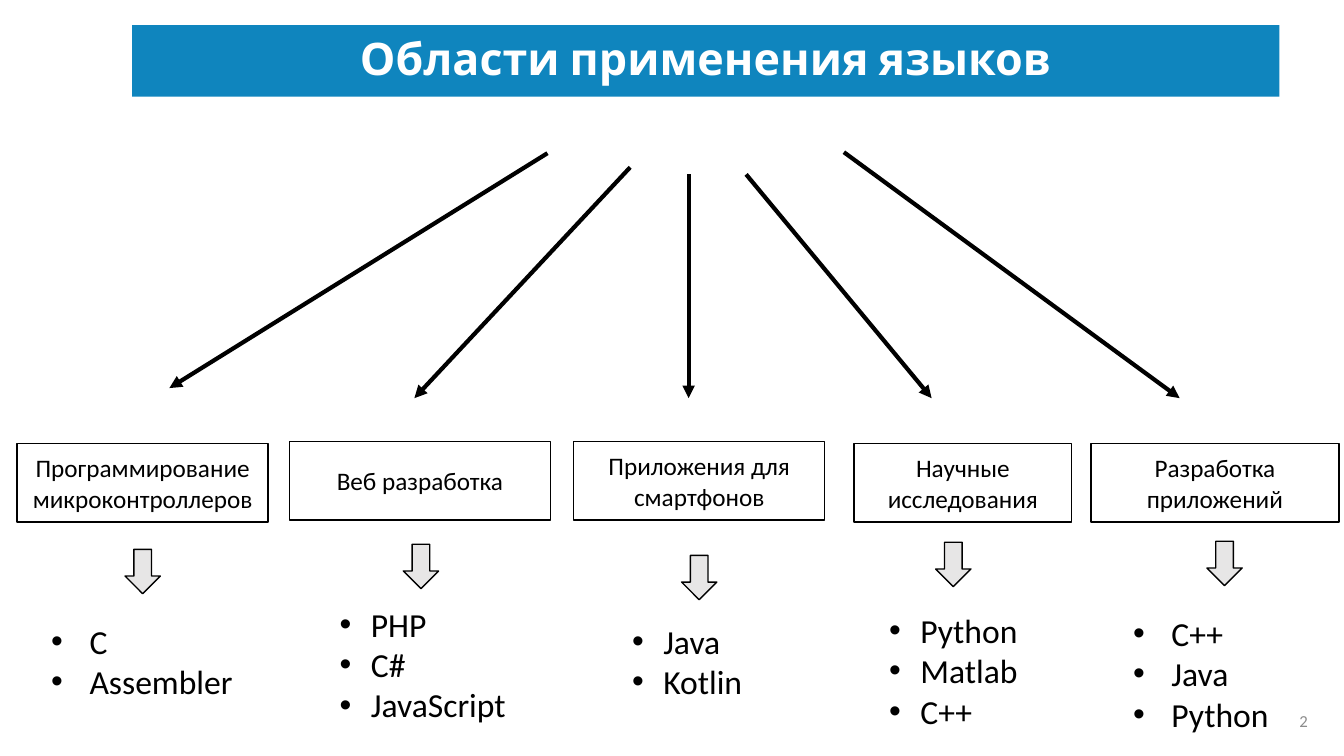
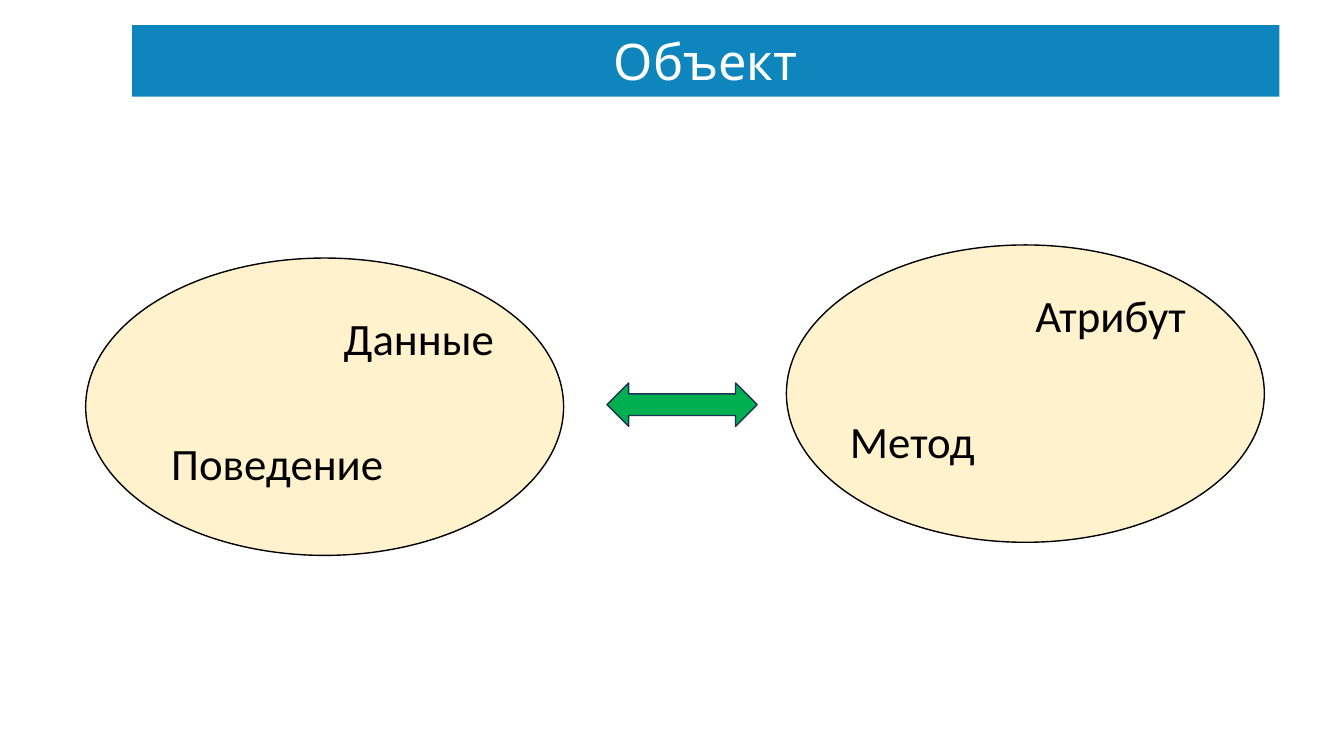
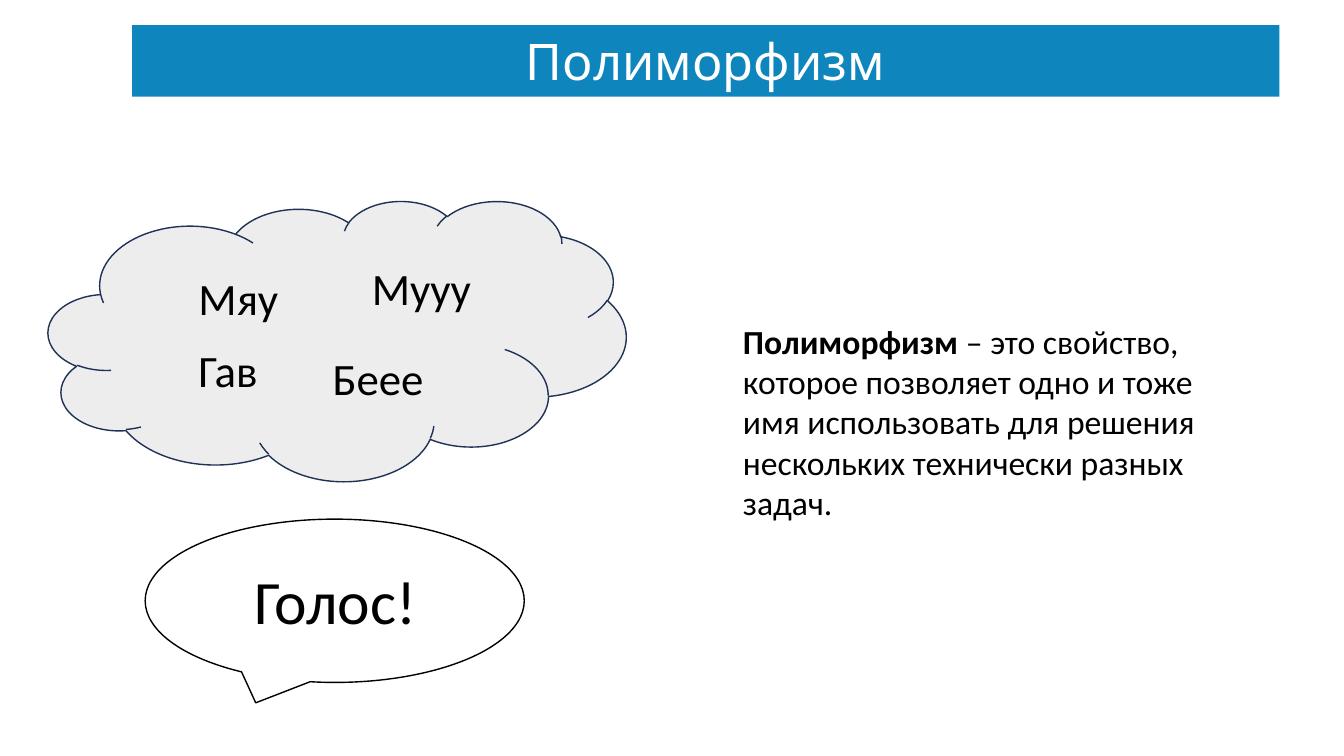
from lxml.etree import SubElement
from pptx import Presentation
from pptx.dml.color import RGBColor
from pptx.enum.shapes import MSO_CONNECTOR, MSO_SHAPE
from pptx.enum.text import MSO_ANCHOR, MSO_AUTO_SIZE, PP_ALIGN
from pptx.oxml.ns import qn
from pptx.util import Pt

EMU_PER_PX = 9144  # 100 px to the inch
SLIDE_W, SLIDE_H = 1333, 750
TITLE_BOX = (131, 25, 1138, 71)

BLUE = RGBColor(0x0F, 0x85, 0xBE)
WHITE = RGBColor(0xFF, 0xFF, 0xFF)
BLACK = RGBColor(0, 0, 0)
GREY = RGBColor(0x8C, 0x8C, 0x8C)
LIGHT_GREY = RGBColor(0xE7, 0xE6, 0xE6)
CLOUD_GREY = RGBColor(0xED, 0xED, 0xED)
CREAM = RGBColor(0xFF, 0xF2, 0xCC)
GREEN = RGBColor(0x00, 0xB0, 0x50)
NAVY = RGBColor(0x1E, 0x32, 0x56)

TITLE_FONT = "Cabin"
BODY_FONT = "Calibri"

# box text, box, arrow start, arrow end, down arrow corner, languages, list box, indent
AREAS = [
    (["Программирование", "микроконтроллеров"], (17, 440, 249, 78),
     (543, 152), (168, 385), (124, 545),
     ["С", "Assembler"], (41, 611, 201, 91), 38),
    (["Веб разработка"], (287, 438, 259, 78),
     (625, 166), (411, 395), (400, 540),
     ["PHP", "C#", "JavaScript"], (327, 594, 194, 131), 31),
    (["Приложения для смартфонов"], (569, 438, 249, 78),
     (683, 173), (683, 395), (676, 551),
     ["Java", "Kotlin"], (617, 611, 131, 91), 31),
    (["Научные исследования"], (847, 440, 216, 78),
     (740, 173), (924, 395), (928, 538),
     ["Python", "Matlab", "C++"], (872, 600, 149, 131), 31),
    (["Разработка приложений"], (1082, 440, 246, 78),
     (837, 151), (1170, 395), (1197, 537),
     ["С++", "Java", "Python"], (1114, 603, 155, 131), 38),
]


def px(*lengths):
    return [n * EMU_PER_PX for n in lengths]


def add_run(p, text, size, color=BLACK, font=BODY_FONT, bold=False):
    r = p.add_run()
    r.text = text
    r.font.size = Pt(size)
    r.font.name = font
    r.font.bold = bold
    r.font.color.rgb = color


def add_lines(tf, lines, size, align=PP_ALIGN.LEFT, color=BLACK):
    """Write one paragraph for each line."""
    for i, line in enumerate(lines):
        p = tf.paragraphs[0] if i == 0 else tf.add_paragraph()
        p.alignment = align
        add_run(p, line, size, color)


def add_preset(s, kind, box, fill=None, line=BLACK):
    sp = s.shapes.add_shape(kind, *px(*box))
    sp.shadow.inherit = False
    if fill is None:
        sp.fill.background()
    else:
        sp.fill.solid()
        sp.fill.fore_color.rgb = fill
    if line is None:
        sp.line.fill.background()
    else:
        sp.line.color.rgb = line
        sp.line.width = Pt(1)
    return sp


def add_text(s, box, lines, size, wrap=False):
    tf = s.shapes.add_textbox(*px(*box)).text_frame
    tf.word_wrap = wrap
    add_lines(tf, lines, size)
    return tf


def add_bullets(s, box, items, indent):
    tf = add_text(s, box, items, 24)
    (step,) = px(indent)
    for p in tf.paragraphs:
        pPr = p._p.get_or_add_pPr()
        pPr.set("marL", str(step))
        pPr.set("indent", str(-step))
        SubElement(pPr, qn("a:buFont")).set("typeface", "Arial")
        SubElement(pPr, qn("a:buChar")).set("char", "•")


def add_arrow(s, start, end):
    cxn = s.shapes.add_connector(MSO_CONNECTOR.STRAIGHT, *px(*start, *end))
    cxn.line.color.rgb = BLACK
    cxn.line.width = Pt(3)
    SubElement(cxn.line._get_or_add_ln(), qn("a:tailEnd")).set("type", "triangle")
    SubElement(cxn._element.spPr, qn("a:effectLst"))


def add_slide(prs, title, size=36, bold=False, anchor=MSO_ANCHOR.BOTTOM, spacing=0.9):
    s = prs.slides.add_slide(prs.slide_layouts[5])
    sp = s.shapes.title
    sp.left, sp.top, sp.width, sp.height = px(*TITLE_BOX)
    tf = sp.text_frame
    tf.auto_size = MSO_AUTO_SIZE.NONE
    tf.word_wrap = True
    tf.vertical_anchor = anchor
    p = tf.paragraphs[0]
    p.alignment = PP_ALIGN.CENTER
    p.line_spacing = spacing
    add_run(p, title, size, WHITE, TITLE_FONT, bold)
    return s


def move_to_layout(sp, layout):
    """Put a shape behind everything else on the layout."""
    layout.shapes.element.insert(2, sp.element)


def add_area(s, name, box, start, end, down, languages, list_box, indent):
    add_arrow(s, start, end)
    tf = add_preset(s, MSO_SHAPE.RECTANGLE, box).text_frame
    tf.word_wrap = True
    tf.vertical_anchor = MSO_ANCHOR.MIDDLE
    add_lines(tf, name, 18, PP_ALIGN.CENTER)
    add_preset(s, MSO_SHAPE.DOWN_ARROW, (*down, 35, 44), LIGHT_GREY)
    add_bullets(s, list_box, languages, indent)


def build_areas(prs):
    s = add_slide(prs, "Области применения языков",
                  32, True, MSO_ANCHOR.TOP, 1.0)
    band = add_preset(s, MSO_SHAPE.RECTANGLE, TITLE_BOX, BLUE, None)
    move_to_layout(band, s.slide_layout)
    for area in AREAS:
        add_area(s, *area)
    tf = s.shapes.add_textbox(*px(1007, 695, 300, 40)).text_frame
    tf.word_wrap = True
    tf.vertical_anchor = MSO_ANCHOR.MIDDLE
    add_lines(tf, ["2"], 12, PP_ALIGN.RIGHT, GREY)


def build_object(prs):
    s = add_slide(prs, "Объект")
    for x, y in ((85, 256), (780, 243)):
        add_preset(s, MSO_SHAPE.OVAL, (x, y, 474, 295), CREAM)
    for text, x, y, w in (("Данные", 331, 303, 171), ("Поведение", 160, 427, 232),
                          ("Атрибут", 1017, 281, 171), ("Метод", 833, 406, 145)):
        add_text(s, (x, y, w, 64), [text], 32)
    add_preset(s, MSO_SHAPE.LEFT_RIGHT_ARROW, (602, 380, 149, 43), GREEN, NAVY)


def build_polymorphism(prs):
    s = add_slide(prs, "Полиморфизм")
    add_preset(s, MSO_SHAPE.OVAL_CALLOUT, (144, 515, 376, 162), WHITE)
    add_preset(s, MSO_SHAPE.CLOUD, (48, 199, 573, 278), CLOUD_GREY, NAVY)
    tf = add_text(s, (727, 313, 492, 212), [], 24, wrap=True)
    p = tf.paragraphs[0]
    add_run(p, "Полиморфизм", 24, bold=True)
    add_run(p, " – это свойство, которое позволяет одно и тоже имя использовать "
               "для решения нескольких технически разных задач.", 24)
    add_text(s, (243, 554, 182, 84), ["Голос!"], 44)
    for text, x, y, w in (("Мяу", 187, 264, 100), ("Гав", 187, 335, 79),
                          ("Мууу", 359, 254, 120), ("Беее", 320, 343, 111)):
        add_text(s, (x, y, w, 64), [text], 32)


def main():
    prs = Presentation()
    prs.slide_width, prs.slide_height = px(SLIDE_W, SLIDE_H)
    build_areas(prs)
    build_object(prs)
    build_polymorphism(prs)
    prs.save("out.pptx")


if __name__ == "__main__":
    main()
